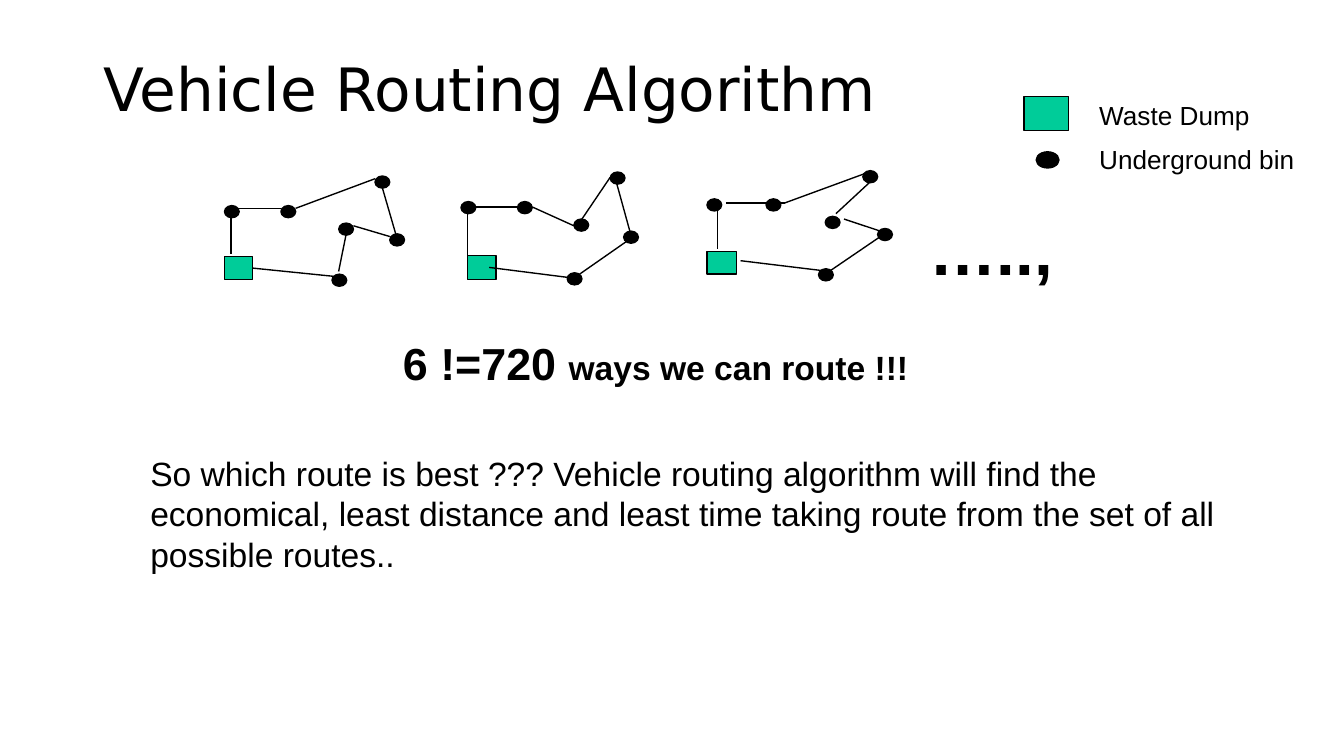
from pptx import Presentation
from pptx.dml.color import RGBColor
from pptx.enum.shapes import MSO_CONNECTOR, MSO_SHAPE
from pptx.enum.text import MSO_ANCHOR
from pptx.oxml.ns import qn
from pptx.util import Inches, Pt
from lxml import etree

RECTANGLE, OVAL = MSO_SHAPE.RECTANGLE, MSO_SHAPE.OVAL
STRAIGHT = MSO_CONNECTOR.STRAIGHT
TOP, MIDDLE = MSO_ANCHOR.TOP, MSO_ANCHOR.MIDDLE
RIGHT_SIDE = 3


def color(hex_code):
    return RGBColor.from_string(hex_code)


class RouteSlide:
    INK = "000000"
    DUMP = "00CC99"
    LINE = Pt(0.75)
    BIN_SIZE = (0.11, 0.09)

    def __init__(self, slide):
        self.slide = slide

    def text(self, box, runs, font="Arial", bold=False, anchor=TOP, inset=0.1):
        """Add a text box; runs are (text, size) pairs."""
        frame = self.slide.shapes.add_textbox(*map(Inches, box)).text_frame
        frame.word_wrap = True
        frame.vertical_anchor = anchor
        frame.margin_left = frame.margin_right = Inches(0.1)
        frame.margin_top = frame.margin_bottom = Inches(inset)
        for words, size in runs:
            run = frame.paragraphs[0].add_run()
            run.text = words
            run.font.name = font
            run.font.size = Pt(size)
            run.font.bold = bold
            run.font.color.rgb = color(self.INK)

    def mark(self, kind, box, fill):
        mark = self.slide.shapes.add_shape(kind, *map(Inches, box))
        mark.shadow.inherit = False
        mark.fill.solid()
        mark.fill.fore_color.rgb = color(fill)
        mark.line.color.rgb = color(self.INK)
        mark.line.width = self.LINE
        return mark

    def dump(self, *box):
        return self.mark(RECTANGLE, box, self.DUMP)

    def bin(self, left, top, size=BIN_SIZE):
        return self.mark(OVAL, (left, top, *size), self.INK)

    def leg(self, *ends):
        leg = self.slide.shapes.add_connector(STRAIGHT, *map(Inches, ends))
        leg.line.color.rgb = color(self.INK)
        leg.line.width = self.LINE
        etree.SubElement(leg._element.spPr, qn("a:effectLst"))
        return leg

    def route(self, dump, bins, legs):
        """Draw one route; the last leg returns to the dump."""
        dump_mark = self.dump(*dump)
        for place in bins:
            self.bin(*place)
        return dump_mark, [self.leg(*ends) for ends in legs][-1]


# Widescreen slide, 16 by 9
prs = Presentation()
prs.slide_width = Inches(10)
prs.slide_height = prs.slide_width * 9 // 16
page = RouteSlide(prs.slides.add_slide(prs.slide_layouts[6]))

# Title
page.text((0.67, 0.18, 6.17, 0.94), [("Vehicle Routing Algorithm", 32)],
          font="DejaVu Sans", anchor=MIDDLE, inset=0.05)

# Legend
page.dump(7.62, 0.72, 0.33, 0.25)
page.bin(7.71, 1.13, (0.17, 0.12))
page.text((8.08, 0.64, 1.48, 0.25), [("Waste Dump", 14)])
page.text((8.08, 0.97, 1.75, 0.25), [("Underground bin", 14)])

# First route, joined to the side of its dump
first_dump, first_return = page.route(
    (1.67, 1.91, 0.21, 0.17),
    [(1.67, 1.53), (2.09, 1.53), (2.79, 1.31),
     (2.9, 1.74), (2.52, 1.66), (2.47, 2.04)],
    [(1.72, 1.89, 1.72, 1.59), (1.77, 1.55, 2.09, 1.55),
     (2.2, 1.55, 2.79, 1.33), (2.84, 1.38, 2.95, 1.76),
     (2.9, 1.76, 2.63, 1.68), (2.58, 1.72, 2.52, 2.02),
     (2.52, 2.06, 1.88, 2.0)])
first_return.end_connect(first_dump, RIGHT_SIDE)

# Second route
page.route(
    (3.48, 1.9, 0.21, 0.18),
    [(3.43, 1.5), (3.85, 1.5), (4.27, 1.63),
     (4.54, 1.28), (4.64, 1.72), (4.22, 2.03)],
    [(3.48, 1.9, 3.48, 1.59), (3.54, 1.54, 3.85, 1.54),
     (3.96, 1.54, 4.27, 1.68), (4.54, 1.32, 4.33, 1.63),
     (4.59, 1.37, 4.7, 1.77), (4.7, 1.77, 4.27, 2.07),
     (4.27, 2.07, 3.64, 1.99)])

# Third route
page.route(
    (5.26, 1.87, 0.22, 0.17),
    [(5.26, 1.48), (5.7, 1.48), (6.42, 1.27),
     (6.14, 1.61), (6.53, 1.7), (6.09, 2.0)],
    [(5.34, 1.85, 5.34, 1.55), (5.4, 1.51, 5.84, 1.51),
     (5.84, 1.51, 6.44, 1.29), (6.5, 1.33, 6.22, 1.59),
     (6.55, 1.72, 6.28, 1.63), (6.61, 1.72, 6.17, 2.02),
     (6.17, 2.02, 5.51, 1.94)])
page.text((6.82, 1.45, 1.83, 0.25), [("…..,", 36)], bold=True)

# Number of routes and the question
page.text((2.9, 2.4, 6.38, 0.94),
          [("6 !=720 ", 24), ("ways we can route !!!", 18)], bold=True)
page.text((1.02, 3.27, 8.26, 1.23),
          [("So which route is best ??? Vehicle routing algorithm will find the "
            "economical, least distance and least time taking route from the "
            "set of all possible routes..", 18)])

prs.save("out.pptx")
